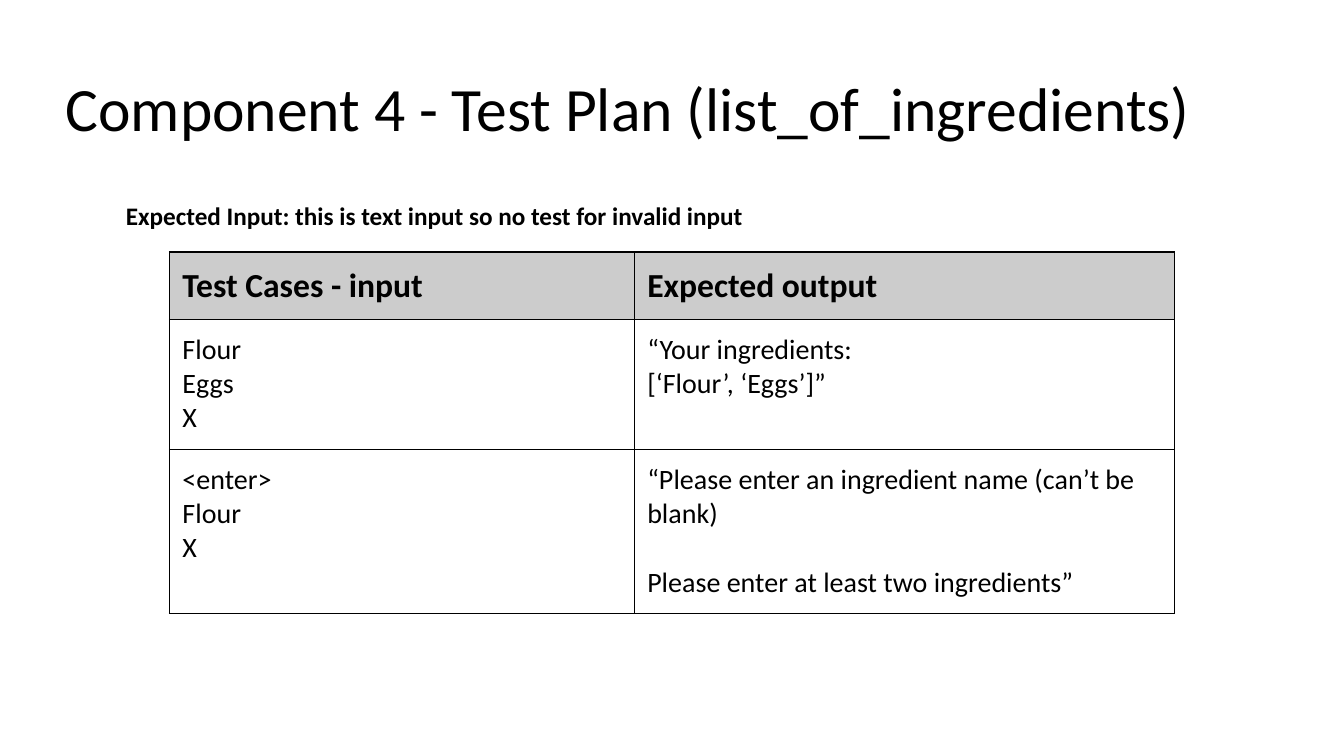
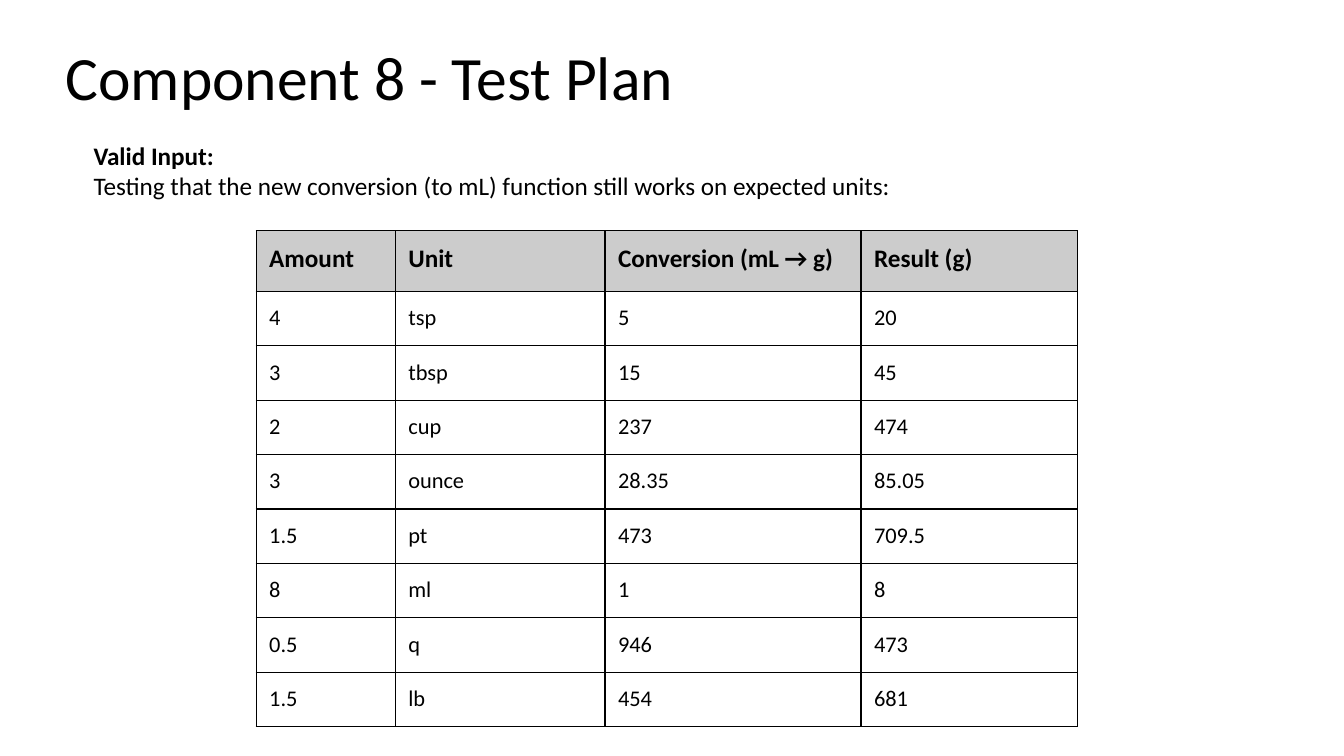
from dataclasses import dataclass

from lxml import etree
from pptx import Presentation
from pptx import util as u
from pptx.dml.color import RGBColor
from pptx.enum import text
from pptx.oxml import ns


@dataclass(frozen=True)
class Theme:
    font: str = "Calibri"
    ink: str = "000000"
    paper: str = "FFFFFF"
    header: str = "CCCCCC"
    title_size: int = 44
    note_size: int = 18
    border_width: float = 1
    padding: float = 0.13


THEME = Theme()
TITLE_LAYOUT = 5

# A paragraph is a string, or a (string, format) pair; a cell holds one or more.
SLIDES = [
    {
        "title": "Component 4 - Test Plan (list_of_ingredients)",
        "title_top": 0.65,
        "note": [("Expected Input: this is text input so no test for invalid input", {"bold": True})],
        "note_box": (1.15, 1.94, 11.04, 0.4),
        "table_at": (1.68, 2.5),
        "widths": [4.61, 5.36],
        "heights": [0.67, 1.29, 1.63],
        "header_size": 24,
        "body_size": 20,
        "rows": [
            [["Test Cases - input"], ["Expected output"]],
            [["Flour", "Eggs", "X"], ["“Your ingredients:", "[‘Flour’, ‘Eggs’]”"]],
            [["<enter>", "Flour", "X"],
             ["“Please enter an ingredient name (can’t be blank)",
              ("Please enter at least two ingredients”", {"space_before": 24.4})]],
        ],
    },
    {
        "title": "Component 8 - Test Plan",
        "title_top": 0.34,
        "note": [
            ("Valid Input:", {"bold": True}),
            "Testing that the new conversion (to mL) function still works on expected units:",
        ],
        "note_box": (0.83, 1.34, 11.56, 0.71),
        "table_at": (2.54, 2.29),
        "widths": [1.38, 2.08, 2.54, 2.15],
        "heights": [0.6] + [0.54] * 8,
        "header_size": 18,
        "body_size": 16,
        "rows": [
            [["Amount"], ["Unit"], ["Conversion (mL → g)"], ["Result (g)"]],
            [["4"], ["tsp"], ["5"], ["20"]],
            [["3"], ["tbsp"], ["15"], ["45"]],
            [["2"], ["cup"], ["237"], ["474"]],
            [["3"], ["ounce"], ["28.35"], ["85.05"]],
            [["1.5"], ["pt"], ["473"], ["709.5"]],
            [["8"], ["ml"], ["1"], ["8"]],
            [["0.5"], ["q"], ["946"], ["473"]],
            [["1.5"], ["lb"], ["454"], ["681"]],
        ],
    },
]


def write_paragraph(paragraph, wording, size, bold=False, space_before=0, line_spacing=1.0):
    paragraph.text = wording
    paragraph.alignment = text.PP_ALIGN.LEFT
    paragraph.line_spacing = line_spacing
    paragraph.space_before = u.Pt(space_before)
    font = paragraph.font
    font.name, font.size, font.bold = THEME.font, u.Pt(size), bold
    font.color.rgb = RGBColor.from_string(THEME.ink)


def write_paragraphs(frame, items, **shared):
    for index, item in enumerate(items):
        wording, own = (item, {}) if isinstance(item, str) else item
        paragraph = frame.add_paragraph() if index else frame.paragraphs[0]
        write_paragraph(paragraph, wording, **{**shared, **own})


def set_margins(target):
    """Give a cell or text frame the theme's padding on all four sides."""
    for side in ("left", "top", "right", "bottom"):
        setattr(target, f"margin_{side}", u.Inches(THEME.padding))


def add_borders(cell):
    properties = cell._tc.get_or_add_tcPr()
    for edge in ("lnL", "lnR", "lnT", "lnB"):
        line = etree.SubElement(properties, ns.qn(f"a:{edge}"), w=str(u.Pt(THEME.border_width)))
        fill = etree.SubElement(line, ns.qn("a:solidFill"))
        etree.SubElement(fill, ns.qn("a:srgbClr"), val=THEME.ink)


def add_title(slide, wording, top):
    title = slide.shapes.title
    title.left, title.top, title.width, title.height = map(u.Inches, (0.52, top, 12.2, 0.84))
    frame = title.text_frame
    frame.auto_size = text.MSO_AUTO_SIZE.NONE
    frame.vertical_anchor = text.MSO_ANCHOR.TOP
    set_margins(frame)
    write_paragraphs(frame, [wording], size=THEME.title_size, line_spacing=0.9)


def add_note(slide, items, box):
    frame = slide.shapes.add_textbox(*map(u.Inches, box)).text_frame
    frame.word_wrap = True
    write_paragraphs(frame, items, size=THEME.note_size)


def add_table(slide, content):
    rows, widths, heights = content["rows"], content["widths"], content["heights"]
    box = map(u.Inches, (*content["table_at"], sum(widths), sum(heights)))
    table = slide.shapes.add_table(len(rows), len(widths), *box).table
    table.horz_banding = False
    for column, width in zip(table.columns, widths):
        column.width = u.Inches(width)
    for row_index, (row, height) in enumerate(zip(rows, heights)):
        table.rows[row_index].height = u.Inches(height)
        is_header = row_index == 0
        for column_index, items in enumerate(row):
            cell = table.cell(row_index, column_index)
            set_margins(cell)
            add_borders(cell)
            cell.fill.solid()
            cell.fill.fore_color.rgb = RGBColor.from_string(THEME.header if is_header else THEME.paper)
            size = content["header_size" if is_header else "body_size"]
            write_paragraphs(cell.text_frame, items, size=size, bold=is_header)


def main():
    presentation = Presentation()
    presentation.slide_width, presentation.slide_height = u.Inches(13.33), u.Inches(7.5)
    for content in SLIDES:
        slide = presentation.slides.add_slide(presentation.slide_layouts[TITLE_LAYOUT])
        add_title(slide, content["title"], content["title_top"])
        add_table(slide, content)
        add_note(slide, content["note"], content["note_box"])
    presentation.save("out.pptx")


if __name__ == "__main__":
    main()
